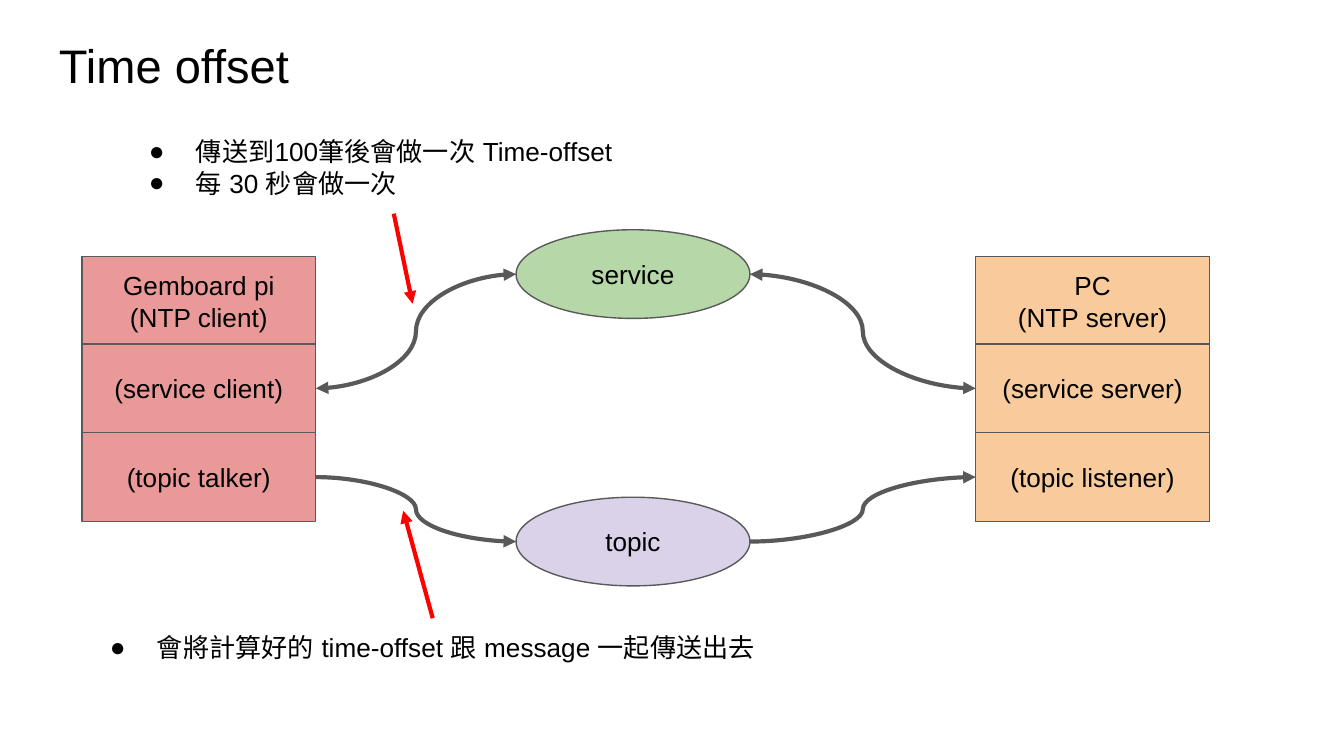
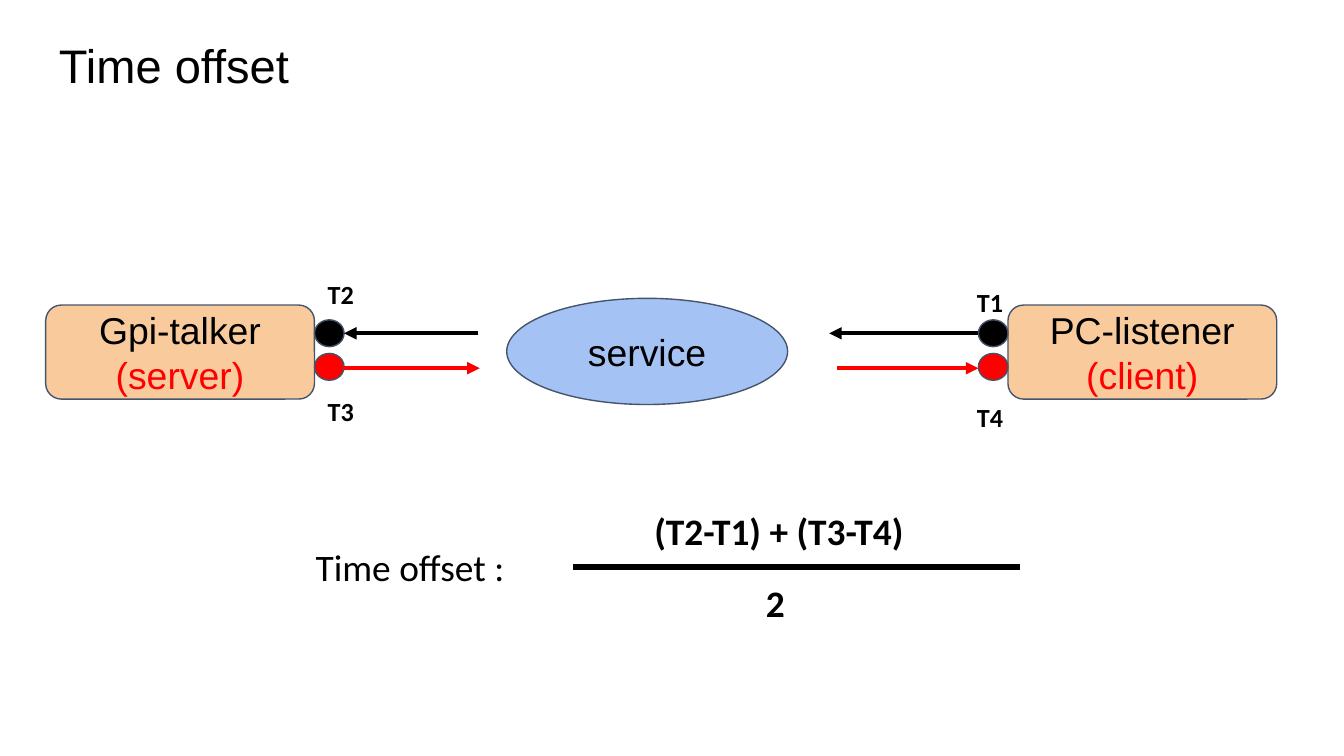
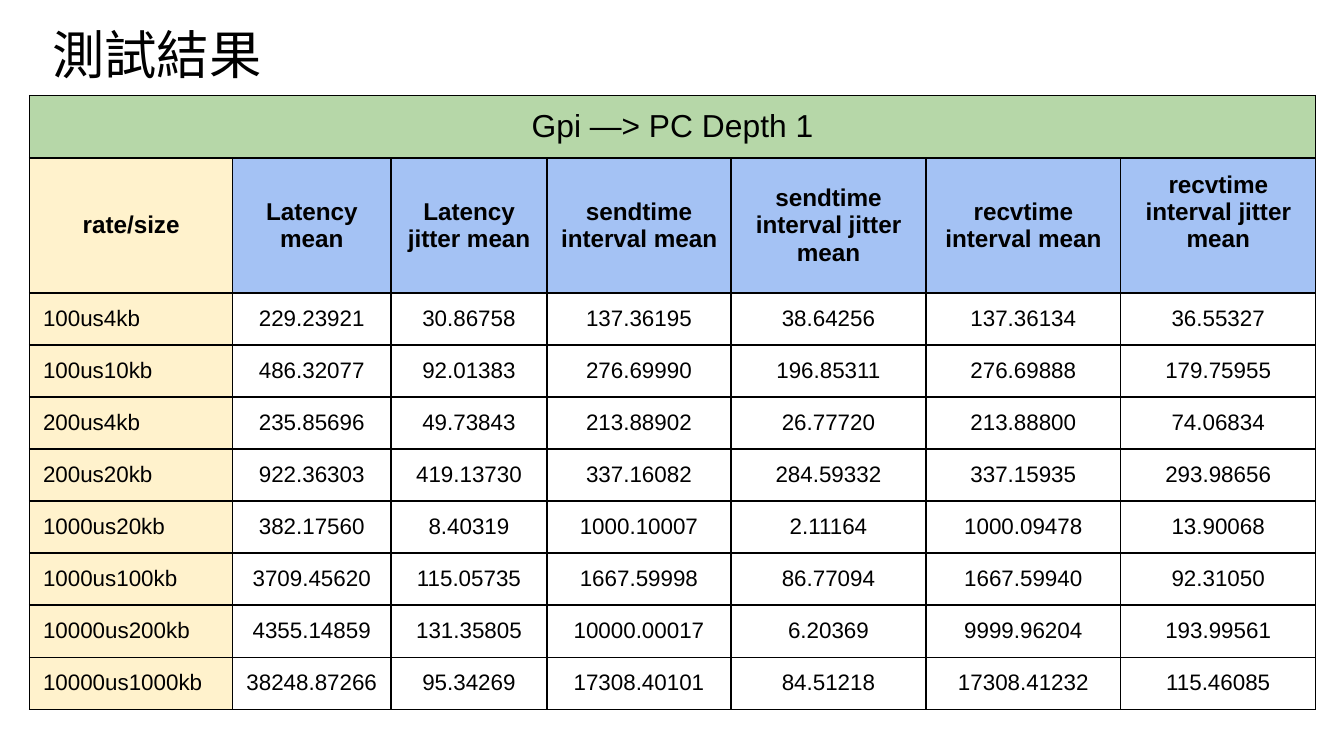
import lxml.etree
import pptx
import pptx.dml.color
import pptx.enum.shapes
import pptx.enum.text
import pptx.oxml.ns
import pptx.util

PIXEL = 9144
BLACK, WHITE, RED = "000000", "FFFFFF", "FF0000"
GREY, SLATE = "595959", "44546A"
ROSE, ORANGE, GREEN, LILAC, BLUE, CREAM = "EA9999", "F9CB9C", "B6D7A8", "D9D2E9", "A4C2F4", "FFF2CC"
SHAPES = pptx.enum.shapes.MSO_SHAPE
CONNECTORS = pptx.enum.shapes.MSO_CONNECTOR
CENTER = pptx.enum.text.PP_ALIGN.CENTER
LEFT = pptx.enum.text.PP_ALIGN.LEFT
TOP = pptx.enum.text.MSO_ANCHOR.TOP
MIDDLE = pptx.enum.text.MSO_ANCHOR.MIDDLE

COLUMNS = [151, 118, 116, 137, 145, 145, 145]
HEADINGS = ["rate/size", "Latency mean", "Latency jitter mean", "sendtime interval mean",
            "sendtime interval jitter mean", "recvtime interval mean", "recvtime interval jitter mean"]
RESULTS = [
    ["100us4kb", "229.23921", "30.86758", "137.36195", "38.64256", "137.36134", "36.55327"],
    ["100us10kb", "486.32077", "92.01383", "276.69990", "196.85311", "276.69888", "179.75955"],
    ["200us4kb", "235.85696", "49.73843", "213.88902", "26.77720", "213.88800", "74.06834"],
    ["200us20kb", "922.36303", "419.13730", "337.16082", "284.59332", "337.15935", "293.98656"],
    ["1000us20kb", "382.17560", "8.40319", "1000.10007", "2.11164", "1000.09478", "13.90068"],
    ["1000us100kb", "3709.45620", "115.05735", "1667.59998", "86.77094", "1667.59940", "92.31050"],
    ["10000us200kb", "4355.14859", "131.35805", "10000.00017", "6.20369", "9999.96204", "193.99561"],
    ["10000us1000kb", "38248.87266", "95.34269", "17308.40101", "84.51218", "17308.41232", "115.46085"],
]


def px(*lengths):
    """Turn pixel lengths into EMU."""
    return [pptx.util.Emu(length * PIXEL) for length in lengths]


def color(value):
    """Turn a hex string into a colour."""
    return pptx.dml.color.RGBColor.from_string(value)


def assign(target, values):
    """Set each attribute named in a dict of format values."""
    for name, value in values.items():
        setattr(target, name, value)


def add_element(parent, tag, **attributes):
    """Append a namespaced element to an XML parent."""
    return lxml.etree.SubElement(parent, pptx.oxml.ns.qn(tag), attributes)


def write(frame, lines, size, colors=(BLACK,), bold=False, font="Arial", align=LEFT, spacing=None):
    """Fill a text frame with one paragraph per line, the last colour repeating."""
    for index, line in enumerate(lines):
        paragraph = frame.add_paragraph() if index else frame.paragraphs[0]
        assign(paragraph, {"alignment": align, "line_spacing": spacing})
        run = paragraph.add_run()
        run.text = line
        assign(run.font, {"size": pptx.util.Pt(size), "name": font, "bold": bold})
        run.font.color.rgb = color(colors[min(index, len(colors) - 1)])
        add_element(run.font._element, "a:ea", typeface=font)


def set_frame(frame, anchor, margins=(10, 10)):
    """Set wrapping, anchor and the horizontal and vertical insets."""
    across, down = px(*margins)
    assign(frame, {"word_wrap": True, "vertical_anchor": anchor, "margin_left": across,
                   "margin_right": across, "margin_top": down, "margin_bottom": down})


def add_text(slide, box, lines, size, anchor=TOP, margins=(10, 10), **style):
    """Add a text box."""
    frame = slide.shapes.add_textbox(*px(*box)).text_frame
    set_frame(frame, anchor, margins)
    write(frame, lines, size, **style)
    return frame


def add_bullets(slide, box, lines):
    """Add a bulleted text box."""
    indent, hanging = px(50, -35)
    for paragraph in add_text(slide, box, lines, 14).paragraphs:
        properties = paragraph._p.get_or_add_pPr()
        properties.set("marL", str(indent))
        properties.set("indent", str(hanging))
        add_element(add_element(properties, "a:buClr"), "a:srgbClr", val=BLACK)
        add_element(properties, "a:buFont", typeface="Arial")
        add_element(properties, "a:buChar", char="●")


def add_node(slide, kind, box, fill, line, lines=(), size=14, colors=(BLACK,)):
    """Add an outlined shape with centred text."""
    shape = slide.shapes.add_shape(kind, *px(*box))
    shape.shadow.inherit = False
    shape.fill.solid()
    shape.fill.fore_color.rgb = color(fill)
    shape.line.color.rgb = color(line)
    shape.line.width = pptx.util.Pt(0.75)
    set_frame(shape.text_frame, MIDDLE)
    write(shape.text_frame, lines, size, colors, align=CENTER)


def add_line(slide, start, end, stroke, kind=CONNECTORS.STRAIGHT, width=2.25, ends=("tailEnd",)):
    """Add a connector with arrowheads at the named ends."""
    connector = slide.shapes.add_connector(kind, *px(*start, *end))
    connector.line.color.rgb = color(stroke)
    connector.line.width = pptx.util.Pt(width)
    for name in ends:
        add_element(connector.line._get_or_add_ln(), "a:" + name, type="triangle")
    add_element(connector._element.spPr, "a:effectLst")


def add_title(slide):
    """Add the title of the time offset slides."""
    add_text(slide, (34, 17, 932, 63), ["Time offset"], 25.2)


def add_stack(slide, box, fill, roles):
    """Stack equal role boxes down the given box."""
    left, top, width, height = box
    for row, lines in enumerate(roles):
        row_box = (left, top + row * height // len(roles), width, round(height / len(roles)))
        add_node(slide, SHAPES.RECTANGLE, row_box, fill, GREY, lines)


def add_channel(slide, box, fill, name, role_y, ends_left, ends_right):
    """Add a channel ellipse with curves to the stacks on either side."""
    left, top, width, height = box
    middle = top + height // 2
    right = left + width
    add_node(slide, SHAPES.OVAL, box, fill, GREY, [name])
    add_line(slide, (235, role_y), (left, middle), GREY, CONNECTORS.CURVE, ends=ends_left)
    add_line(slide, (right, middle), (726, role_y), GREY, CONNECTORS.CURVE, ends=ends_right)


def build_nodes_slide(slide):
    """Show which machines exchange services and topics."""
    add_title(slide)
    add_stack(slide, (61, 191, 174, 197), ROSE,
              [["Gemboard pi (NTP client)"], ["(service client)"], ["(topic talker)"]])
    add_stack(slide, (726, 191, 174, 197), ORANGE,
              [["PC", "(NTP server)"], ["(service server)"], ["(topic listener)"]])
    both, forward = ("headEnd", "tailEnd"), ("tailEnd",)
    add_channel(slide, (384, 171, 174, 66), GREEN, "service", 289, both, both)
    add_channel(slide, (384, 370, 174, 66), LILAC, "topic", 355, forward, forward)
    add_bullets(slide, (86, 91, 414, 67), ["傳送到100筆後會做一次 Time-offset", "每 30 秒會做一次"])
    add_bullets(slide, (57, 460, 530, 44), ["會將計算好的 time-offset 跟 message 一起傳送出去"])
    add_line(slide, (293, 159), (307, 226), RED)
    add_line(slide, (322, 460), (300, 380), RED)


def add_station(slide, box, lines, port_left, stamps):
    """Add a machine with its two ports and their time stamps."""
    top = box[1]
    add_node(slide, SHAPES.ROUNDED_RECTANGLE, box, ORANGE, SLATE, lines, 20, (BLACK, RED))
    for offset, fill in ((11, BLACK), (36, RED)):
        add_node(slide, SHAPES.OVAL, (port_left, top + offset, 22, 20), fill, SLATE)
    for name, left, offset in stamps:
        add_text(slide, (left, top + offset, 45, 44), [name], 14, bold=True, font="Calibri")


def add_formula(slide, box):
    """Write the time offset as a fraction inside the given box."""
    left, top, width, height = box
    half = height // 2
    style = {"size": 20, "font": "Calibri"}
    add_text(slide, (left, top + half // 2, 190, half), ["Time offset :"], **style)
    add_text(slide, (left + 252, top, 243, half), ["(T2-T1) + (T3-T4)"], bold=True, **style)
    add_text(slide, (left + 335, top + half, 39, half), ["2"], bold=True, **style)
    add_line(slide, (left + 201, top + half), (left + width, top + half), BLACK, width=3, ends=())


def build_formula_slide(slide):
    """Show the four time stamps and the formula that uses them."""
    add_title(slide)
    add_node(slide, SHAPES.OVAL, (377, 222, 209, 79), BLUE, SLATE, ["service"], 20)
    add_station(slide, (34, 227, 200, 70), ["Gpi-talker", "(server)"], 234,
                [("T2", 234, -30), ("T3", 234, 57)])
    add_station(slide, (750, 227, 200, 70), ["PC-listener", "(client)"], 728,
                [("T1", 717, -24), ("T4", 717, 62)])
    for start, end, y, stroke in ((356, 256, 248, BLACK), (728, 617, 248, BLACK),
                                  (256, 357, 274, RED), (623, 728, 274, RED)):
        add_line(slide, (start, y), (end, y), stroke)
    add_formula(slide, (225, 368, 534, 108))


def fill_cell(cell, text, fill, size, bold=False, align=CENTER, anchor=MIDDLE):
    """Write and colour one bordered table cell."""
    inset, = px(10)
    assign(cell, {"vertical_anchor": anchor, "margin_left": inset, "margin_right": inset,
                  "margin_top": inset, "margin_bottom": inset})
    write(cell.text_frame, [text] if text else [], size, bold=bold, align=align)
    properties = cell._tc.get_or_add_tcPr()
    for side in ("a:lnL", "a:lnR", "a:lnT", "a:lnB"):
        border = add_element(properties, side, w=str(pptx.util.Pt(0.75)))
        add_element(add_element(border, "a:solidFill"), "a:srgbClr", val=BLACK)
    cell.fill.solid()
    cell.fill.fore_color.rgb = color(fill)


def add_results(slide, left, top):
    """Add the table of measured latencies."""
    heights = [46, 100] + [38] * len(RESULTS)
    frame = slide.shapes.add_table(len(heights), len(COLUMNS),
                                   *px(left, top, sum(COLUMNS), sum(heights)))
    table = frame.table
    assign(table, {"first_row": False, "horz_banding": False})
    for column, width in zip(table.columns, px(*COLUMNS)):
        column.width = width
    for row, height in zip(table.rows, px(*heights)):
        row.height = height
    for index, heading in enumerate(HEADINGS):
        first = index == 0
        fill_cell(table.cell(0, index), "Gpi —> PC Depth 1" if first else "", GREEN, 17, anchor=TOP)
        fill_cell(table.cell(1, index), heading, CREAM if first else BLUE, 13, bold=True)
        for row, values in enumerate(RESULTS, 2):
            fill_cell(table.cell(row, index), values[index], CREAM if first else WHITE, 12,
                      align=LEFT if first else CENTER)
    table.cell(0, 0).merge(table.cell(0, len(COLUMNS) - 1))
    table.cell(1, len(COLUMNS) - 1).margin_bottom, = px(30)


def build_results_slide(slide):
    """Show the test results."""
    add_results(slide, 22, 71)
    add_text(slide, (32, 6, 862, 74), ["測試結果"], 28, anchor=MIDDLE, margins=(7, 4), spacing=0.9)


def main():
    """Build and save the presentation."""
    presentation = pptx.Presentation()
    presentation.slide_width, = px(1000)
    presentation.slide_height = presentation.slide_width * 9 // 16
    for build in (build_nodes_slide, build_formula_slide, build_results_slide):
        build(presentation.slides.add_slide(presentation.slide_layouts[6]))
    presentation.save("out.pptx")


if __name__ == "__main__":
    main()
